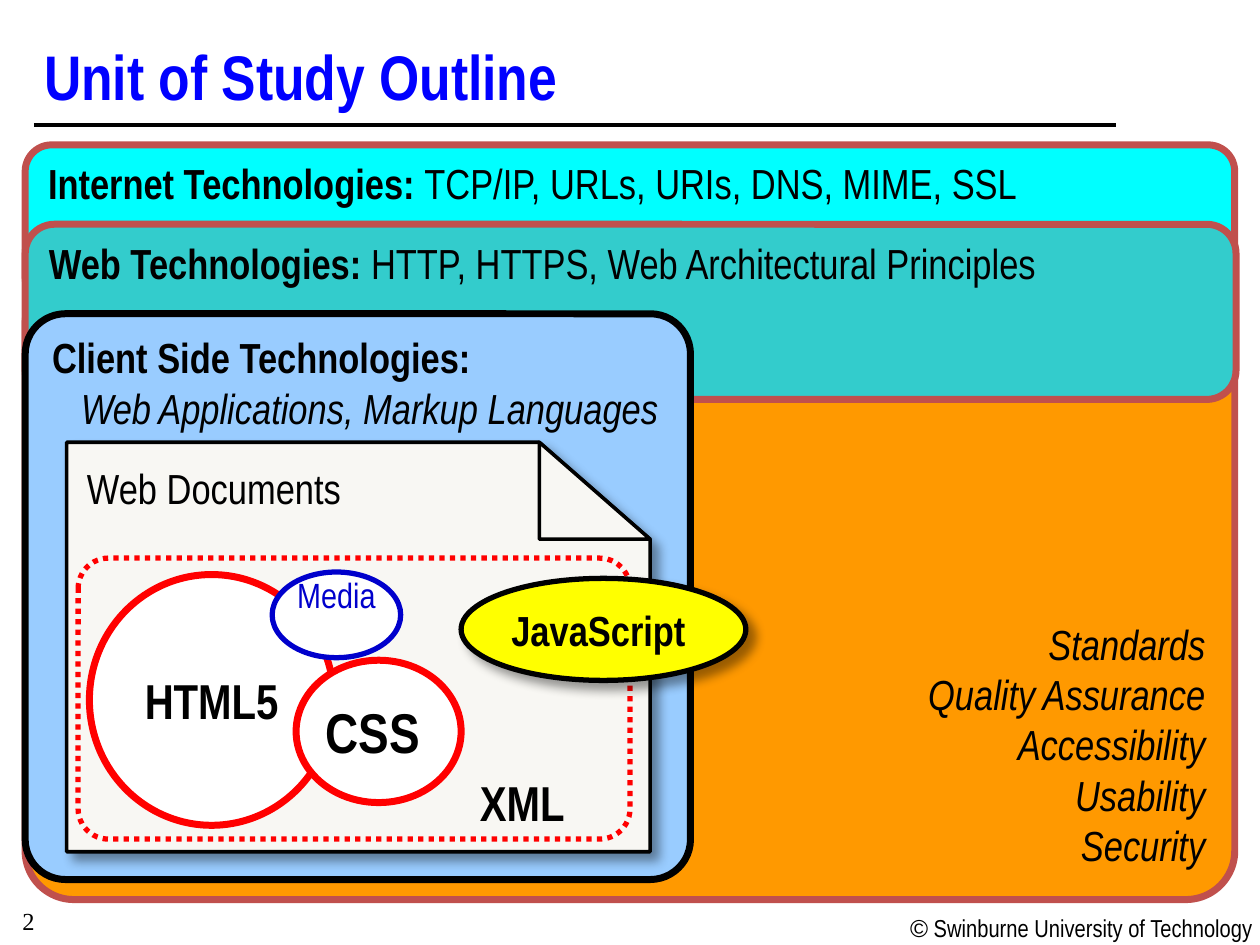
from lxml import etree
from pptx import Presentation
from pptx.dml.color import RGBColor
from pptx.enum import dml, shapes, text
from pptx.oxml.ns import qn
from pptx.util import Inches, Pt

NARROW = "Arial Narrow"
LEFT, MID, RIGHT = text.PP_ALIGN.LEFT, text.PP_ALIGN.CENTER, text.PP_ALIGN.RIGHT
TOP, CENTRE, BASE = (text.MSO_ANCHOR.TOP, text.MSO_ANCHOR.MIDDLE,
                     text.MSO_ANCHOR.BOTTOM)
ROUND = shapes.MSO_SHAPE.ROUNDED_RECTANGLE
OVAL = shapes.MSO_SHAPE.OVAL
rgb = RGBColor.from_string


def paint(shp, fill, line, width, shade=False):
    """Set fill, outline and an optional soft shadow."""
    shp.shadow.inherit = False
    if fill:
        shp.fill.solid()
        shp.fill.fore_color.rgb = rgb(fill)
    else:
        shp.fill.background()
    shp.line.color.rgb = rgb(line)
    shp.line.width = Pt(width)
    if shade:
        fx = shp._element.spPr.find(qn("a:effectLst"))
        glow = etree.SubElement(fx, qn("a:outerShdw"), blurRad=str(Pt(6)),
                                dist=str(Pt(6)), dir="2700000", algn="ctr",
                                rotWithShape="0")
        tone = etree.SubElement(glow, qn("a:srgbClr"), val="000000")
        etree.SubElement(tone, qn("a:alpha"), val="40000")


def write(shp, paras, size=24, ins=(0.1, 0.05, 0.1, 0.05), align=LEFT,
          anchor=TOP, color="000000", wrap=True):
    """Fill a shape with paragraphs of (words, style, font) runs."""
    frame = shp.text_frame
    frame.word_wrap = wrap
    frame.vertical_anchor = anchor
    (frame.margin_left, frame.margin_top,
     frame.margin_right, frame.margin_bottom) = [Inches(v) for v in ins]
    for i, runs in enumerate(paras):
        para = frame.add_paragraph() if i else frame.paragraphs[0]
        para.alignment = align
        for words, style, face in runs:
            run = para.add_run()
            run.text = words
            font = run.font
            font.name, font.size = face, Pt(size)
            font.bold, font.italic = style == "b", style == "i"
            font.color.rgb = rgb(color)


prs = Presentation()
prs.slide_width, prs.slide_height = Inches(10), Inches(7.5)
page = prs.slides.add_slide(prs.slide_layouts[6]).shapes

# Title rule
rule = page.add_connector(shapes.MSO_CONNECTOR.STRAIGHT, Inches(0.27),
                          Inches(0.99), Inches(8.86), Inches(0.99))
rule.line.color.rgb = rgb("000000")
rule.line.width = Pt(2.25)
etree.SubElement(rule._element.spPr, qn("a:effectLst"))

# Nested technology layers: place, corner, fill, line, paragraphs, text layout
goals = ["Standards", "Quality Assurance", "Accessibility", "Usability",
         "Security"]
head = (0.12, 0.04, 0.04, 0.04)
layers = [
    ((0.2, 2.18, 9.6, 4.96), 0.078, "FF9900", "C0504D",
     [[(goal, "i", NARROW)] for goal in goals],
     dict(ins=(0.04, 0.04, 0.12, 0.12), align=RIGHT, anchor=BASE)),
    ((0.2, 1.15, 9.6, 1.26), 0.167, "00FFFF", "C0504D",
     [[("Internet Technologies: ", "b", NARROW),
       ("TCP/IP, URLs, URIs, DNS, MIME, SSL", "", NARROW)]], dict(ins=head)),
    ((0.2, 1.78, 9.61, 1.39), 0.167, "33CCCC", "C0504D",
     [[("Web Technologies: ", "b", NARROW),
       ("HTTP, HTTPS, Web Architectural Principles", "", NARROW)]],
     dict(ins=head)),
    ((0.2, 2.49, 5.28, 4.49), 0.071, "99CCFF", "000000",
     [[("Client Side Technologies:", "b", NARROW)],
      [("Web Applications, Markup Languages", "i", NARROW)]],
     dict(ins=(0.12, 0.05, 0.1, 0.05))),
]
for place, bend, fill, line, paras, opts in layers:
    layer = page.add_shape(ROUND, *[Inches(v) for v in place])
    layer.adjustments[0] = bend
    paint(layer, fill, line, 4)
    write(layer, paras, **opts)
# Indent the second line of the client layer
layer.text_frame.paragraphs[1]._p.get_or_add_pPr().set(
    "marL", str(Inches(0.23)))

# Document sheet and its folded corner
sheet = [(0.53, 3.51), (4.28, 3.51), (5.16, 4.28), (5.16, 6.76), (0.53, 6.76)]
fold = [(4.28, 3.51), (5.16, 4.28), (4.28, 4.28)]
for spots, shade in ((sheet, True), (fold, False)):
    spots = [(Inches(x), Inches(y)) for x, y in spots]
    pen = page.build_freeform(*spots[0])
    pen.add_line_segments(spots[1:], close=True)
    paint(pen.convert_to_shape(), "F8F7F3", "000000", 2, shade)

# Dotted XML frame
frame = page.add_shape(ROUND, Inches(0.62), Inches(4.43), Inches(4.38),
                       Inches(2.23))
frame.adjustments[0] = 0.108
paint(frame, None, "FF0000", 3)
frame.line.dash_style = dml.MSO_LINE.ROUND_DOT

# Languages: place, fill, line, width, shadow, words, style, size, colour, insets
ovals = [
    ((0.71, 4.56, 1.94, 1.99), "FFFFFF", "FF0000", 4, False,
     "HTML5", "b", 28, "000000", (0.04, 0, 0.04, 0)),
    ((2.16, 4.54, 1.02, 0.68), "FFFFFF", "0000CC", 3, False,
     "Media", "", 20, "0000CC", (0.04, 0.04, 0.04, 0.36)),
    ((3.66, 4.59, 2.26, 0.81), "FFFF00", "000000", 3, True,
     "JavaScript", "b", 24, "000000", (0.04, 0.04, 0.12, 0.04)),
    ((2.35, 5.24, 1.31, 1.13), "FFFFFF", "FF0000", 4, False,
     "CSS", "b", 32, "000000", (0.04, 0.04, 0.13, 0.04)),
]
for place, fill, line, width, shade, words, style, size, color, ins in ovals:
    oval = page.add_shape(OVAL, *[Inches(v) for v in place])
    paint(oval, fill, line, width, shade)
    write(oval, [[(words, style, NARROW)]], size, ins, MID, CENTRE, color,
          wrap=False)

# Free text: title, labels, footer and page number
flat = (0, 0, 0, 0)
labels = [
    ((0.35, 0.28, 8.48, 0.63), [("Unit of Study Outline", "b", NARROW)],
     dict(size=36, ins=flat, anchor=CENTRE, color="0000FF")),
    ((0.69, 3.67, 2.2, 0.39), [("Web Documents", "", NARROW)],
     dict(ins=flat)),
    ((3.71, 6.08, 1.05, 0.57), [("XML", "b", NARROW)], dict(size=28)),
    ((7.1, 7.2, 2.94, 0.33),
     [("©", "", "Arial"), (" Swinburne University of Technology", "", NARROW)],
     dict(size=14, align=RIGHT, wrap=False)),
    ((0.08, 7.14, 2.08, 0.28), [("2", "", "Times New Roman")], dict(size=14)),
]
for place, runs, opts in labels:
    write(page.add_textbox(*[Inches(v) for v in place]), [runs], **opts)

prs.save("out.pptx")
